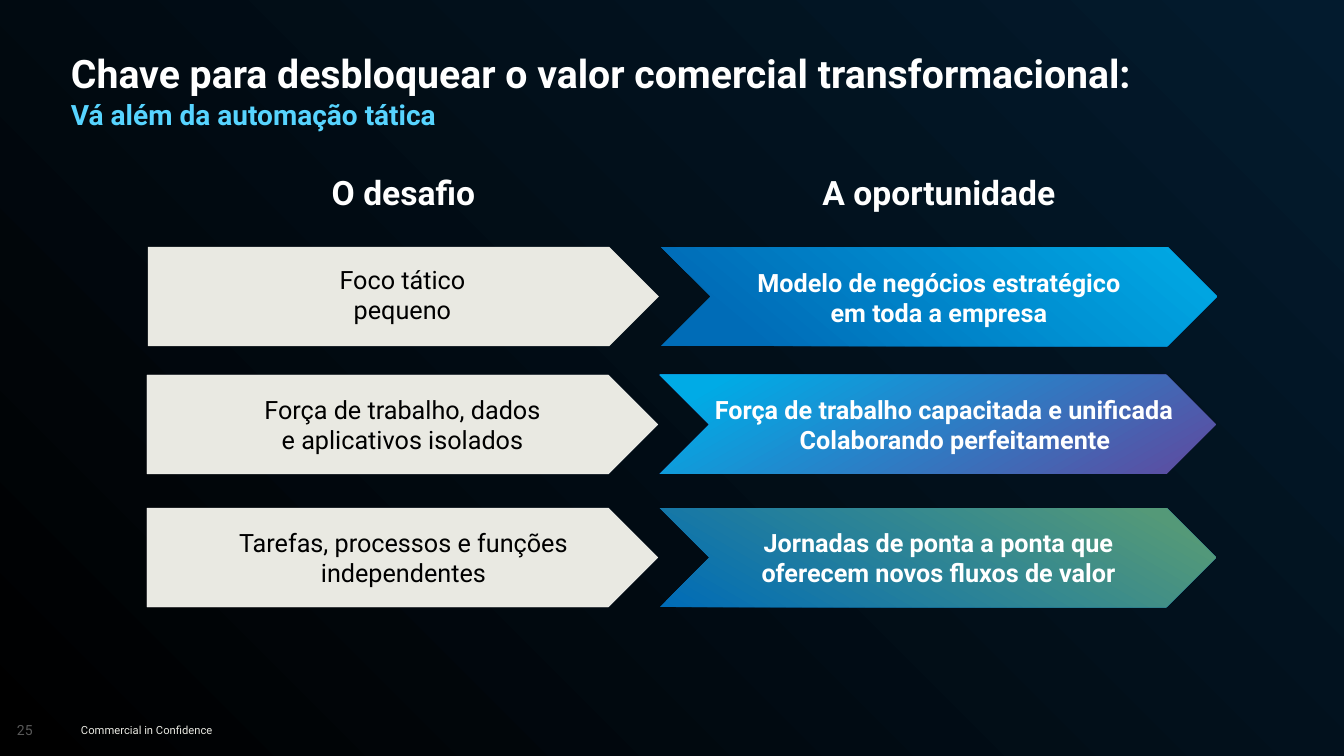
from pptx import Presentation
from pptx.dml.color import RGBColor
from pptx.enum.shapes import MSO_SHAPE as Shape
from pptx.enum.text import MSO_ANCHOR as Anchor, MSO_AUTO_SIZE as AutoSize, PP_ALIGN as Align
from pptx.util import Emu, Pt
from lxml import etree

COLORS = {
    "white": "FFFFFF", "black": "000000", "navy": "031B2E", "cream": "E9E9E2",
    "blue": "006CB7", "cyan": "00ABE6", "purple": "60499E", "green": "549978",
    "sky": "57D4FF", "gray": "595959",
}
FONT = "Roboto"
PX = 914400 / 100.8

# Content
TITLE = "Chave para desbloquear o valor comercial transformacional:"
SUBTITLE = "Vá além da automação tática"
HEADINGS = ["O desafio", "A oportunidade"]
FOOTER = "Commercial in Confidence"
PAGE_NUMBER = "25"

# Labels are (lines, box); a gradient is (stops, clockwise angle)
ROWS = [
    dict(left=148, top=247, outlined=False,
         challenge=(["Foco tático pequeno"], (309, 264, 187, 61)),
         opportunity=(["Modelo de negócios estratégico em toda a empresa"],
                      (743, 267, 392, 69)),
         gradient=([(14, "blue"), (100, "cyan")], 310)),
    dict(left=147, top=375, outlined=True,
         challenge=(["Força de trabalho, dados e aplicativos isolados"],
                    (255, 394, 295, 61)),
         opportunity=(["Força de trabalho capacitada e unificada",
                       "Colaborando perfeitamente"], (704, 394, 480, 61)),
         gradient=([(0, "purple"), (91, "cyan")], 240)),
    dict(left=147, top=508, outlined=True,
         challenge=(["Tarefas, processos e funções independentes"],
                    (228, 527, 351, 61)),
         opportunity=(["Jornadas de ponta a ponta que oferecem novos fluxos de valor"],
                      (748, 527, 381, 69)),
         gradient=([(0, "blue"), (91, "green")], 300)),
]
SECOND_LINE_INDENT = 22

# Arrow columns
ARROW_HEIGHT = 99
CHALLENGE_WIDTH = 511
OPPORTUNITY_SHIFT = 513
OPPORTUNITY_WIDTH = 556


def px(value):
    return Emu(round(value * PX))


def rgb(name):
    return RGBColor.from_string(COLORS[name])


def fill_gradient(fill, stops, angle):
    fill.gradient()
    fill.gradient_angle = (360 - angle) % 360
    for stop, (position, color) in zip(fill.gradient_stops, stops):
        stop.position = position / 100
        stop.color.rgb = rgb(color)


def write(shape, lines, size, color, bold=False, align=Align.LEFT,
          anchor=Anchor.TOP, inset_top=0, wrap=True):
    frame = shape.text_frame
    frame.auto_size = AutoSize.NONE
    frame.word_wrap = wrap
    frame.vertical_anchor = anchor
    frame.margin_left = frame.margin_right = frame.margin_bottom = 0
    frame.margin_top = px(inset_top)
    for index, line in enumerate(lines):
        para = frame.add_paragraph() if index else frame.paragraphs[0]
        para.alignment = align
        para.space_before = Pt(0)
        span = para.add_run()
        span.text = line
        span.font.name = FONT
        span.font.size = Pt(size)
        span.font.bold = bold
        span.font.color.rgb = rgb(color)
    return frame.paragraphs


def place(shape, left, top, width, height):
    shape.left, shape.top, shape.width, shape.height = map(px, (left, top, width, height))


def add_text(shapes, box, lines, size, color, **style):
    return write(shapes.add_textbox(*map(px, box)), lines, size, color, **style)


def add_arrow(shapes, kind, left, top, width):
    arrow = shapes.add_shape(kind, *map(px, (left, top, width, ARROW_HEIGHT)))
    arrow.shadow.inherit = False
    arrow.line.fill.background()
    return arrow


deck = Presentation()
deck.slide_width, deck.slide_height = px(1344), px(756)
page = deck.slides.add_slide(deck.slide_layouts[1])
fill_gradient(page.background.fill, [(0, "black"), (100, "navy")], 315)

# Title and subtitle
title, subtitle = page.shapes.title, page.placeholders[1]
place(title, 71, 50, 1185, 60)
write(title, [TITLE], 28, "white", bold=True, inset_top=5)[0].line_spacing = 0.9
place(subtitle, 71, 97, 1178, 31)
para = write(subtitle, [SUBTITLE], 20, "sky", bold=True)[0]
properties = para._p.get_or_add_pPr()
properties.set("marL", "0")
properties.set("indent", "0")
etree.SubElement(properties, "{http://schemas.openxmlformats.org/drawingml/2006/main}buNone")

# Column headings
first = ROWS[0]["left"]
columns = [(first, CHALLENGE_WIDTH), (first + OPPORTUNITY_SHIFT, OPPORTUNITY_WIDTH)]
for heading, (left, width) in zip(HEADINGS, columns):
    add_text(page.shapes, (left, 172, width, 40), [heading], 24, "white",
             bold=True, align=Align.CENTER)

# Arrow rows
for row in ROWS:
    shapes = page.shapes.add_group_shape().shapes
    plate = add_arrow(shapes, Shape.PENTAGON, row["left"], row["top"], CHALLENGE_WIDTH)
    plate.fill.solid()
    plate.fill.fore_color.rgb = rgb("cream")
    if row["outlined"]:
        plate.line.color.rgb = rgb("white")
        plate.line.width = Pt(0.25)
    chevron = add_arrow(shapes, Shape.CHEVRON, row["left"] + OPPORTUNITY_SHIFT,
                        row["top"], OPPORTUNITY_WIDTH)
    fill_gradient(chevron.fill, *row["gradient"])

    lines, box = row["opportunity"]
    paragraphs = add_text(shapes, box, lines, 18, "white", bold=True, align=Align.CENTER)
    for para in paragraphs[1:]:
        para._p.get_or_add_pPr().set("marL", str(px(SECOND_LINE_INDENT)))
    lines, box = row["challenge"]
    add_text(shapes, box, lines, 18, "black", align=Align.CENTER)

# Footer
add_text(page.shapes, (81, 724, 134, 13), [FOOTER], 8, "cream",
         anchor=Anchor.BOTTOM, wrap=False)
add_text(page.shapes, (17, 721, 18, 17), [PAGE_NUMBER], 10, "gray", anchor=Anchor.BOTTOM)

deck.save("out.pptx")
